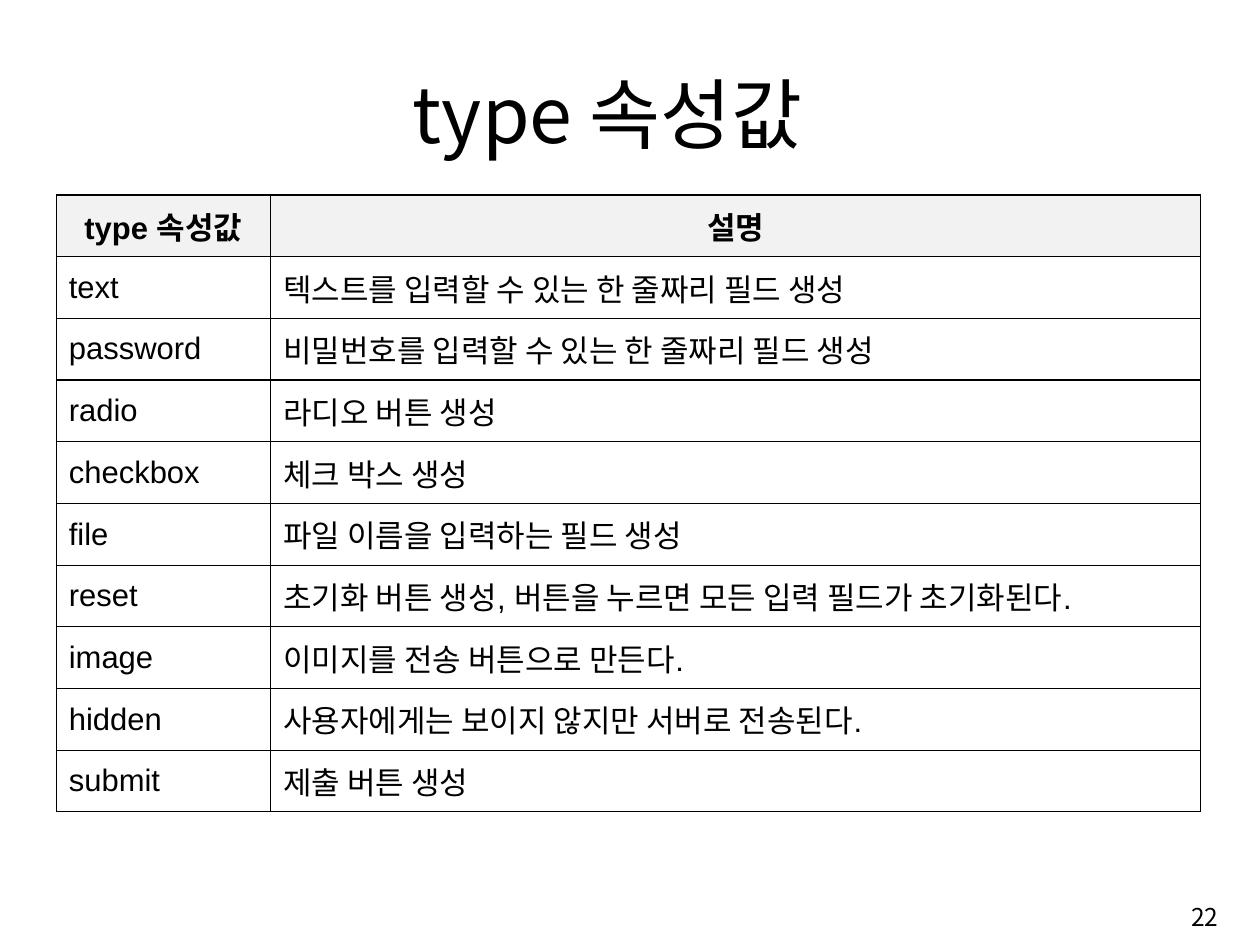
from dataclasses import dataclass

from lxml.etree import SubElement
from pptx import Presentation
from pptx.dml.color import RGBColor
from pptx.enum.text import MSO_ANCHOR as Anchor, PP_ALIGN as Align
from pptx.oxml.ns import qn
from pptx.util import Inches, Pt


@dataclass(frozen=True)
class Theme:
    ink: str = "000000"
    header_fill: str = "F2F2F2"
    latin_font: str = "Arial"
    korean_font: str = "Noto Sans CJK KR"
    title_size: float = 57.2
    table_size: float = 23
    number_size: float = 18.2
    border_width: float = 1


THEME = Theme()
COLUMN_WIDTHS = (2.21, 9.59)
ROW_HEIGHT = 0.636
HEADER = ("type 속성값", "설명")
TYPE_VALUES = [
    ("text", "텍스트를 입력할 수 있는 한 줄짜리 필드 생성"),
    ("password", "비밀번호를 입력할 수 있는 한 줄짜리 필드 생성"),
    ("radio", "라디오 버튼 생성"),
    ("checkbox", "체크 박스 생성"),
    ("file", "파일 이름을 입력하는 필드 생성"),
    ("reset", "초기화 버튼 생성, 버튼을 누르면 모든 입력 필드가 초기화된다."),
    ("image", "이미지를 전송 버튼으로 만든다."),
    ("hidden", "사용자에게는 보이지 않지만 서버로 전송된다."),
    ("submit", "제출 버튼 생성"),
]


def write_text(frame, text, *, size, font=THEME.korean_font, bold=False,
               align=Align.LEFT):
    paragraph = frame.paragraphs[0]
    paragraph.alignment = align
    run = paragraph.add_run()
    run.text = text
    run.font.size = Pt(size)
    run.font.bold = bold
    run.font.color.rgb = RGBColor.from_string(THEME.ink)
    run.font.name = font
    SubElement(run.font._element, qn("a:ea"), typeface=THEME.korean_font)


def place(shape, left, top, width, height):
    shape.left, shape.top = Inches(left), Inches(top)
    shape.width, shape.height = Inches(width), Inches(height)


def add_title(slide, text):
    title = slide.shapes.title
    place(title, 1.05, 0.61, 10.61, 1.08)
    title.text_frame.vertical_anchor = Anchor.BOTTOM
    write_text(title.text_frame, text, size=THEME.title_size, align=Align.CENTER)


def draw_borders(cell):
    properties = cell._tc.get_or_add_tcPr()
    for side in ("a:lnL", "a:lnR", "a:lnT", "a:lnB"):
        line = SubElement(properties, qn(side), w=str(Pt(THEME.border_width)))
        fill = SubElement(line, qn("a:solidFill"))
        SubElement(fill, qn("a:srgbClr"), val=THEME.ink)


def fill_cell(cell, text, is_header):
    draw_borders(cell)
    if is_header:
        cell.fill.solid()
        cell.fill.fore_color.rgb = RGBColor.from_string(THEME.header_fill)
    else:
        cell.fill.background()
    cell.vertical_anchor = Anchor.MIDDLE
    cell.margin_left = cell.margin_right = Inches(0.13)
    cell.margin_top = cell.margin_bottom = Inches(0.06)
    write_text(cell.text_frame, text, size=THEME.table_size, font=THEME.latin_font,
               bold=is_header, align=Align.CENTER if is_header else Align.LEFT)


def add_value_table(slide, rows):
    table = slide.shapes.add_table(
        len(rows), len(COLUMN_WIDTHS), Inches(0.58), Inches(2.01),
        Inches(sum(COLUMN_WIDTHS)), Inches(ROW_HEIGHT * len(rows))).table
    table.horz_banding = False
    for column, width in zip(table.columns, COLUMN_WIDTHS):
        column.width = Inches(width)
    for row_index, row in enumerate(rows):
        table.rows[row_index].height = Inches(ROW_HEIGHT)
        for column_index, text in enumerate(row):
            fill_cell(table.cell(row_index, column_index), text, row_index == 0)


def add_page_number(slide, number):
    box = slide.shapes.add_textbox(Inches(9.98), Inches(9.15), Inches(2.68), Inches(0.6))
    box.text_frame.word_wrap = True
    box.text_frame.vertical_anchor = Anchor.MIDDLE
    write_text(box.text_frame, number, size=THEME.number_size, align=Align.RIGHT)


def main():
    deck = Presentation()
    deck.slide_width, deck.slide_height = Inches(12.99), Inches(9.74)
    title_only = deck.slide_layouts[5]
    slide = deck.slides.add_slide(title_only)
    add_title(slide, "type 속성값 ")
    add_value_table(slide, [HEADER, *TYPE_VALUES])
    add_page_number(slide, "22")
    deck.save("out.pptx")


if __name__ == "__main__":
    main()
